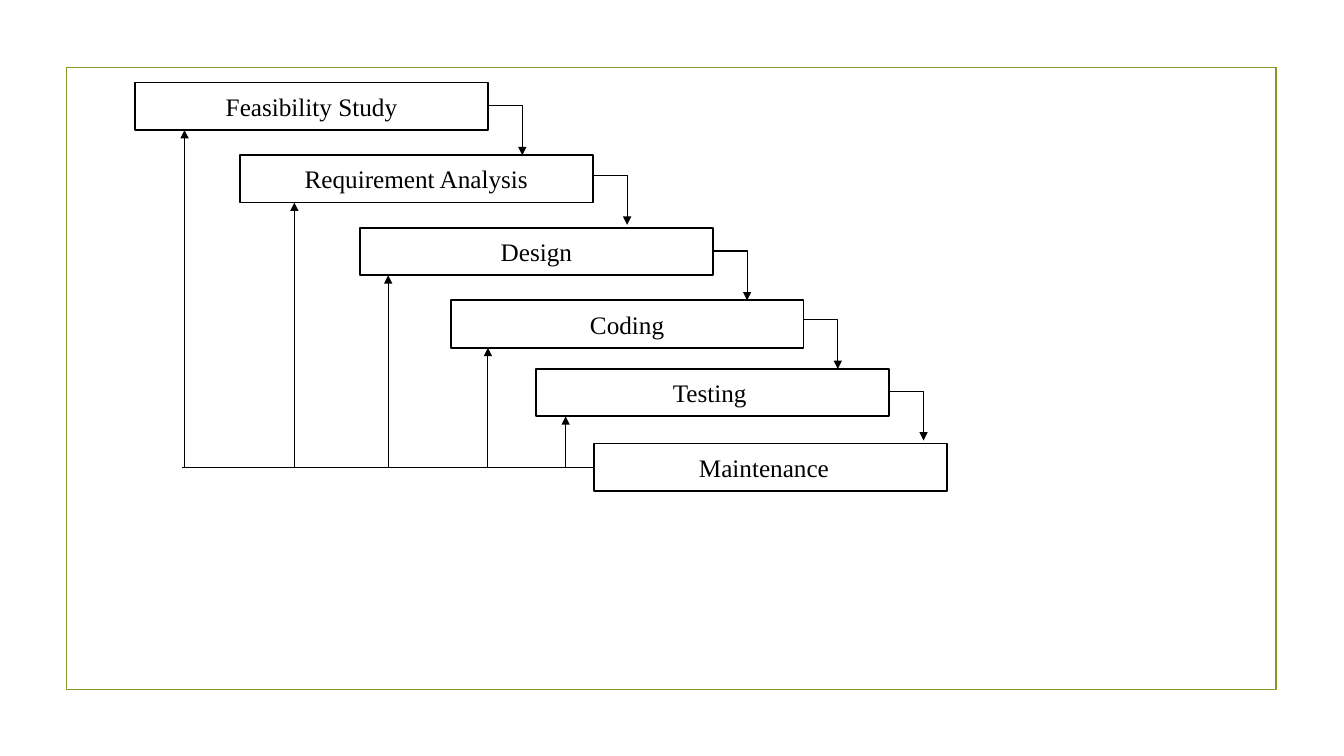
from lxml import etree
from pptx import Presentation, util as u
from pptx.dml.color import RGBColor
from pptx.enum import shapes, text
from pptx.oxml.ns import qn

COLORS = {"ink": "000000", "frame": "83992A"}
BOX_WIDTH, BOX_HEIGHT = 3.5, 0.47
ELBOW_WIDTH, ELBOW_HEIGHT = 0.34, 0.49
FEEDBACK_Y = 4.63

PHASES = [
    ("Feasibility Study", 1.34, 0.82),
    ("Requirement Analysis", 2.38, 1.54),
    ("Design", 3.57, 2.26),
    ("Coding", 4.47, 2.98),
    ("Testing ", 5.32, 3.66),
    ("Maintenance  ", 5.89, 4.4),
]
ELBOW_STARTS = [1.05, 1.74, 2.49, 3.17, 3.88]
FEEDBACK_XS = [1.83, 2.92, 3.85, 4.84, 5.61]


class Diagram:
    font = {"name": "Times New Roman", "size": u.Pt(18)}
    frame_text = {"vertical_anchor": text.MSO_ANCHOR.MIDDLE, "word_wrap": True}

    def __init__(self, slide):
        self.slide = slide

    def color(self, name):
        return RGBColor.from_string(COLORS[name])

    def apply(self, target, values):
        for name, value in values.items():
            setattr(target, name, value)

    def outline(self, line, color, width):
        line.color.rgb = self.color(color)
        line.width = u.Pt(width)

    def rectangle(self, left, top, width, height, color="ink"):
        shape = self.slide.shapes.add_shape(
            shapes.MSO_SHAPE.RECTANGLE, *map(u.Inches, (left, top, width, height)))
        shape.shadow.inherit = False
        shape.fill.background()
        self.outline(shape.line, color, 1.25)
        return shape

    def phase(self, label, left, top):
        shape = self.rectangle(left, top, BOX_WIDTH, BOX_HEIGHT)
        self.apply(shape.text_frame, self.frame_text)
        paragraph = shape.text_frame.paragraphs[0]
        paragraph.text = label
        paragraph.alignment = text.PP_ALIGN.CENTER
        self.apply(paragraph.font, self.font)
        paragraph.font.color.rgb = self.color("ink")
        return shape

    def connector(self, start, end, arrow=True, kind=shapes.MSO_CONNECTOR.STRAIGHT):
        connector = self.slide.shapes.add_connector(kind, *map(u.Inches, start + end))
        self.outline(connector.line, "ink", 0.75)
        properties = connector._element.spPr
        if arrow:
            line = properties.find(qn("a:ln"))
            etree.SubElement(line, qn("a:tailEnd"), type="triangle")
        etree.SubElement(properties, qn("a:effectLst"))
        return connector

    def elbow(self, left, top):
        connector = self.connector(
            (left, top), (left + ELBOW_WIDTH, top + ELBOW_HEIGHT),
            kind=shapes.MSO_CONNECTOR.ELBOW)
        geometry = connector._element.spPr.find(qn("a:prstGeom"))
        geometry.set("prst", "bentConnector2")


def main():
    presentation = Presentation()
    presentation.slide_width = u.Inches(13.33)
    presentation.slide_height = u.Inches(7.5)
    slide = presentation.slides.add_slide(presentation.slide_layouts[6])
    diagram = Diagram(slide)

    diagram.rectangle(0.66, 0.67, 12, 6.17, "frame")
    boxes = [diagram.phase(*phase) for phase in PHASES]

    for (_, left, _), top in zip(PHASES, ELBOW_STARTS):
        diagram.elbow(left + BOX_WIDTH, top)

    feedback = diagram.connector((PHASES[-1][1], FEEDBACK_Y), (1.81, FEEDBACK_Y), arrow=False)
    feedback.begin_connect(boxes[-1], 1)
    feedback.end_y = feedback.begin_y
    for (_, _, top), x in zip(PHASES, FEEDBACK_XS):
        diagram.connector((x, FEEDBACK_Y), (x, top + BOX_HEIGHT))

    presentation.save("out.pptx")


if __name__ == "__main__":
    main()
